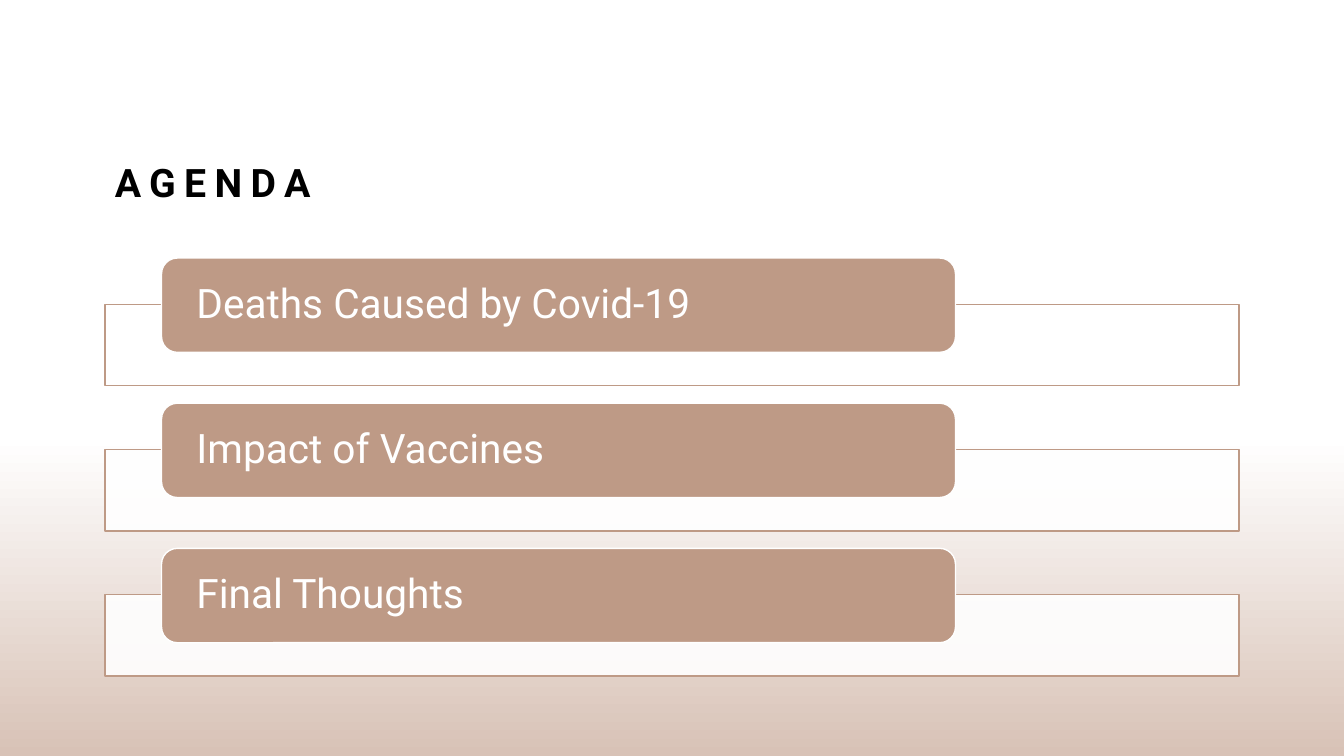
"""Build the agenda slide."""
from dataclasses import dataclass

from lxml.etree import SubElement
from pptx import Presentation
from pptx.dml.color import RGBColor
from pptx.enum.shapes import MSO_SHAPE
from pptx.enum.text import MSO_ANCHOR, PP_ALIGN
from pptx.oxml.ns import qn
from pptx.util import Inches, Pt


@dataclass(frozen=True)
class Theme:
    """Colours, type sizes and font of the slide."""
    clay: str = "BE9A86"
    sand: str = "D8C2B6"
    white: str = "FFFFFF"
    black: str = "000000"
    font: str = "Roboto"
    title_size: int = 28
    topic_size: int = 29
    letter_gap: int = 6
    line_width: int = 1


@dataclass(frozen=True)
class Box:
    """A rectangle in inches."""
    left: float
    top: float
    width: float
    height: float

    def portion(self, left, top, width, height):
        """Return the box at the given shares of this one."""
        return Box(self.left + left * self.width, self.top + top * self.height,
                   width * self.width, height * self.height)

    def lengths(self):
        """Return left, top, width and height as slide lengths."""
        return [Inches(side) for side in (self.left, self.top, self.width, self.height)]


THEME = Theme()
PAGE = Box(0, 0, 13.33, 7.5)
TOPICS = ("Deaths Caused by Covid-19", "Impact of Vaccines", "Final Thoughts")
ROW_HEIGHT = 1.44
TAB_SHARE = 0.65
FRAME_TOP_SHARE = 0.32
FRAME_SHARE = 0.56


def add_shape(page, kind, box, fill=None, line=None):
    """Add a flat shape with the given fill and line colours."""
    shape = page.shapes.add_shape(kind, *box.lengths())
    shape.shadow.inherit = False
    if fill:
        shape.fill.solid()
        shape.fill.fore_color.rgb = RGBColor.from_string(fill)
    if line:
        shape.line.color.rgb = RGBColor.from_string(line)
        shape.line.width = Pt(THEME.line_width)
    else:
        shape.line.fill.background()
    return shape


def write(shape, text, anchor, inset, spacing, color, font_format):
    """Write one left-aligned line in a shape and return its run."""
    frame = shape.text_frame
    frame_format = {"word_wrap": True, "vertical_anchor": anchor,
                    "margin_left": Inches(inset), "margin_right": Inches(inset)}
    for name, value in frame_format.items():
        setattr(frame, name, value)
    para = frame.paragraphs[0]
    para.alignment = PP_ALIGN.LEFT
    para.line_spacing = spacing
    span = para.add_run()
    span.text = text
    for name, value in {"name": THEME.font, **font_format}.items():
        setattr(span.font, name, value)
    span.font.color.rgb = RGBColor.from_string(color)
    return span


def add_backdrop(page, box):
    """Fade the lower part of the page from white to sand."""
    fill = add_shape(page, MSO_SHAPE.RECTANGLE, box).fill
    fill.gradient()
    fill.gradient_angle = 270
    stops = ((0.14, THEME.white), (1, THEME.sand))
    for stop, (position, color) in zip(fill.gradient_stops, stops):
        stop.position = position
        stop.color.rgb = RGBColor.from_string(color)


def add_title(page, box):
    """Add the letter-spaced title at the bottom of its box."""
    title = page.shapes.add_textbox(*box.lengths())
    span = write(title, "AGENDA", MSO_ANCHOR.BOTTOM, 0.1, 1.2, THEME.black,
                 {"size": Pt(THEME.title_size), "bold": True})
    span._r.get_or_add_rPr().set("spc", str(THEME.letter_gap * 100))


def add_topic(page, box, topic):
    """Add one agenda row: an outlined frame with a tab over its top edge."""
    frame = add_shape(page, MSO_SHAPE.RECTANGLE,
                      box.portion(0, FRAME_TOP_SHARE, 1, FRAME_SHARE),
                      THEME.white, THEME.clay)
    color = frame._element.spPr.find(qn("a:solidFill"))[0]
    SubElement(color, qn("a:alpha"), val="90000")
    tab = add_shape(page, MSO_SHAPE.ROUNDED_RECTANGLE,
                    box.portion(0.05, 0, 0.7, TAB_SHARE), THEME.clay, THEME.white)
    write(tab, topic, MSO_ANCHOR.MIDDLE, 0.3, 0.9, THEME.white,
          {"size": Pt(THEME.topic_size)})


def add_agenda(page, box):
    """Stack the topics in equal rows."""
    share = 1 / len(TOPICS)
    for index, topic in enumerate(TOPICS):
        add_topic(page, box.portion(0, index * share, 1, share), topic)


def main():
    """Build and save the deck."""
    deck = Presentation()
    deck.slide_width, deck.slide_height = PAGE.lengths()[2:]
    page = deck.slides.add_slide(deck.slide_layouts[6])
    add_backdrop(page, PAGE.portion(0, 0.51, 1, 0.49))
    add_title(page, Box(1.04, 0.83, 11.25, 1.26))
    add_agenda(page, Box(1.04, 2.56, 11.25, ROW_HEIGHT * len(TOPICS)))
    deck.save("out.pptx")


if __name__ == "__main__":
    main()
